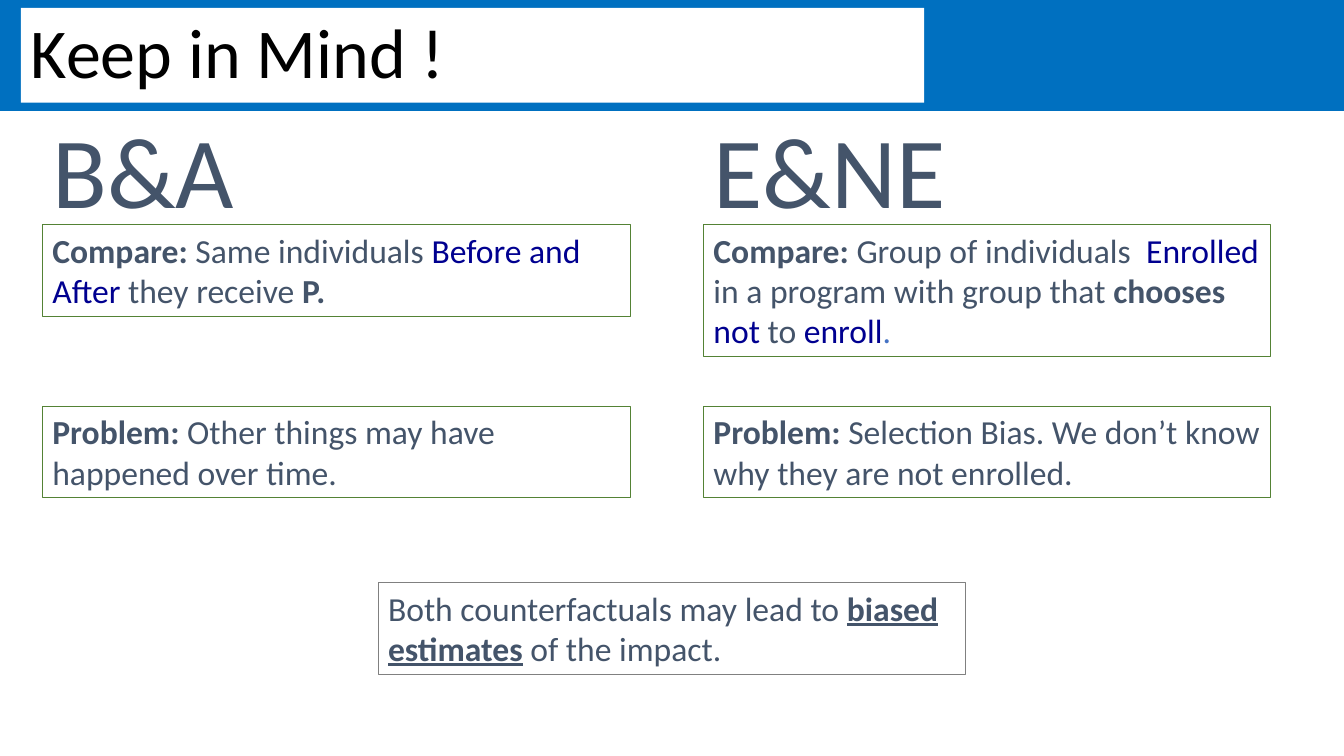
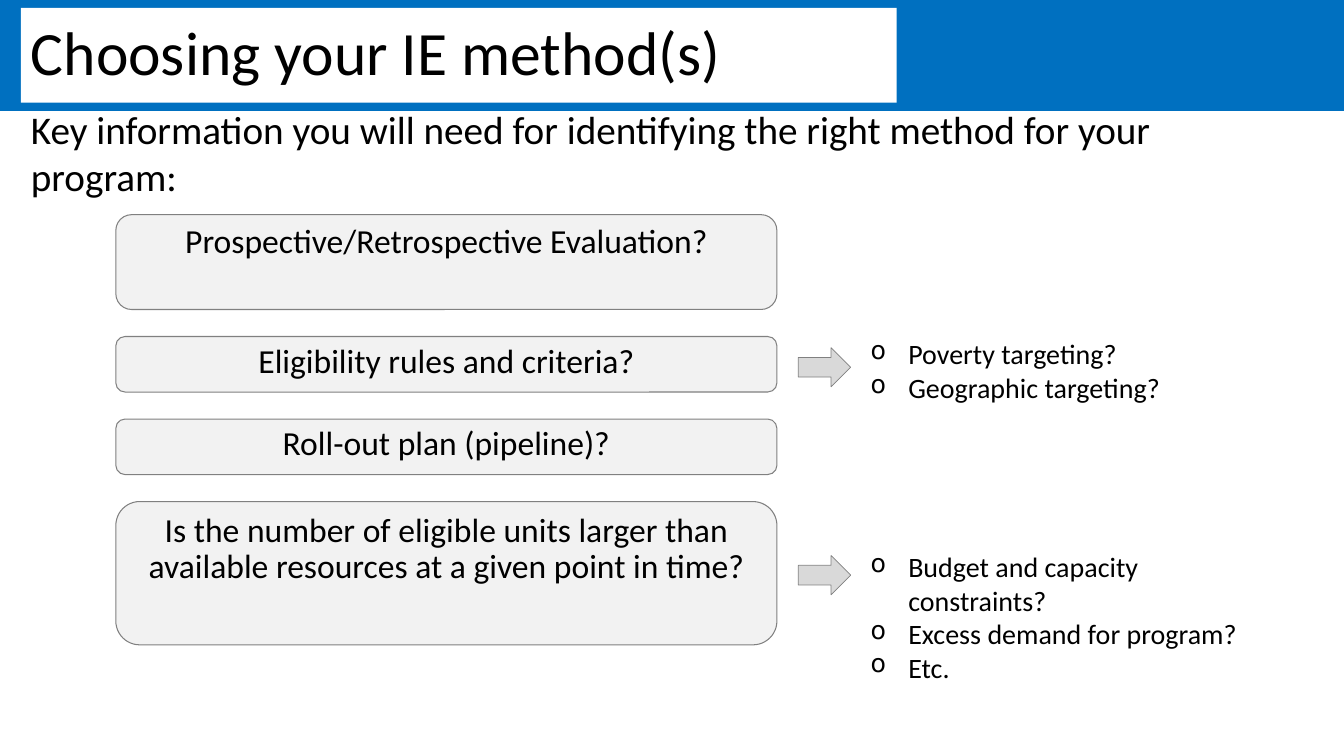
from dataclasses import dataclass
from typing import Any

from lxml import etree
from pptx import Presentation
from pptx.dml.color import RGBColor
from pptx.enum.shapes import MSO_SHAPE
from pptx.enum.text import MSO_ANCHOR, MSO_AUTO_SIZE, PP_ALIGN
from pptx.oxml.ns import qn
from pptx.shapes.autoshape import Shape
from pptx.slide import Slide
from pptx.util import Cm, Pt

RECTANGLE = MSO_SHAPE.RECTANGLE
ROUNDED = MSO_SHAPE.ROUNDED_RECTANGLE
ARROW = MSO_SHAPE.RIGHT_ARROW
TOP = MSO_ANCHOR.TOP
MIDDLE = MSO_ANCHOR.MIDDLE
LEFT = PP_ALIGN.LEFT
CENTER = PP_ALIGN.CENTER
FIT_SHAPE = MSO_AUTO_SIZE.SHAPE_TO_FIT_TEXT
FIXED = MSO_AUTO_SIZE.NONE


@dataclass(frozen=True)
class Theme:
    font: str = "Calibri"
    band: str = "0070C0"
    white: str = "FFFFFF"
    black: str = "000000"
    slate: str = "44546A"
    navy: str = "000090"
    blue: str = "4472C4"
    green: str = "548235"
    gray: str = "808080"
    pale: str = "F2F2F2"
    arrow: str = "D9D9D9"
    heading_size: float = 72
    title_size: float = 50
    long_title_size: float = 44
    intro_size: float = 28
    body_size: float = 24
    bullet_size: float = 20


THEME = Theme()


@dataclass(frozen=True)
class Box:
    left: float
    top: float
    width: float
    height: float


@dataclass(frozen=True)
class Span:
    text: str
    color: str = THEME.slate
    bold: bool = False
    underline: bool = False


@dataclass(frozen=True)
class Style:
    size: float = THEME.body_size
    anchor: Any = TOP
    fit: Any = FIT_SHAPE
    wrap: bool = True
    align: Any = LEFT
    line_spacing: float = 1.0
    space_before: float = 0
    bulleted: bool = False


@dataclass(frozen=True)
class Column:
    left: float
    width: float
    heading: str
    heading_width: float
    compare: tuple[Span, ...]
    compare_height: float
    problem: str


@dataclass(frozen=True)
class Question:
    text: str
    height: float


@dataclass(frozen=True)
class Detail:
    arrow_top: float
    box: Box
    items: tuple[str, ...]


HEADING = Style(size=THEME.heading_size, wrap=False)
BODY = Style()
QUESTION = Style(fit=FIXED, align=CENTER, line_spacing=0.9, space_before=10)
INTRO = Style(size=THEME.intro_size, space_before=5.6)
BULLETS = Style(size=THEME.bullet_size, bulleted=True)

COLUMNS = (
    Column(
        1.07, 14.81, "B&A", 5.13,
        (
            Span("Compare: ", bold=True),
            Span("Same individuals "),
            Span("Before and After", THEME.navy),
            Span(" they receive "),
            Span("P.", bold=True),
        ),
        2.31,
        "Other things may have happened over time.",
    ),
    Column(
        17.73, 14.3, "E&NE", 6.43,
        (
            Span("Compare: ", bold=True),
            Span("Group of individuals "),
            Span(" Enrolled ", THEME.navy),
            Span("in a program with group that "),
            Span("chooses ", bold=True),
            Span("not", THEME.navy),
            Span(" to "),
            Span("enroll", THEME.navy),
            Span(".", THEME.blue),
        ),
        3.33,
        "Selection Bias. We don’t know why they are not enrolled.",
    ),
)

QUESTIONS = (
    Question("Prospective/Retrospective Evaluation?", 2.39),
    Question("Eligibility rules and criteria?", 1.4),
    Question("Roll-out plan (pipeline)?", 1.4),
    Question(
        "Is the number of eligible units larger than available resources "
        "at a given point in time?",
        3.61,
    ),
)
QUESTION_TOP = 5.41
QUESTION_GAP = 0.68

DETAILS = (
    Detail(8.76, Box(21.69, 8.36, 11.1, 1.96),
           ("Poverty targeting?", "Geographic targeting?")),
    Detail(14.0, Box(21.69, 13.72, 10.8, 3.68),
           ("Budget and capacity constraints?", "Excess demand for program?", "Etc.")),
)


def set_attributes(target: Any, values: dict[str, Any]) -> None:
    for name, value in values.items():
        setattr(target, name, value)


def add_bullet(paragraph: Any) -> None:
    properties = paragraph._p.get_or_add_pPr()
    properties.set("marL", str(Cm(0.95)))
    properties.set("indent", str(-Cm(0.95)))
    etree.SubElement(properties, qn("a:buSzPct")).set("val", "90000")
    etree.SubElement(properties, qn("a:buChar")).set("char", "o")


def write_text(shape: Shape, paragraphs: list[tuple[Span, ...]], style: Style) -> None:
    frame = shape.text_frame
    set_attributes(frame, {
        "word_wrap": style.wrap,
        "auto_size": style.fit,
        "vertical_anchor": style.anchor,
    })
    for index, spans in enumerate(paragraphs):
        paragraph = frame.add_paragraph() if index else frame.paragraphs[0]
        set_attributes(paragraph, {
            "alignment": style.align,
            "line_spacing": style.line_spacing,
            "space_before": Pt(style.space_before),
        })
        if style.bulleted:
            add_bullet(paragraph)
        for span in spans:
            run = paragraph.add_run()
            run.text = span.text
            set_attributes(run.font, {
                "name": THEME.font,
                "size": Pt(style.size),
                "bold": span.bold,
                "underline": span.underline,
            })
            run.font.color.rgb = RGBColor.from_string(span.color)


def add_panel(slide: Slide, box: Box, fill: str | None = None, line: str | None = None,
              line_width: float = 0.75, kind: Any = RECTANGLE) -> Shape:
    shape = slide.shapes.add_shape(
        kind, Cm(box.left), Cm(box.top), Cm(box.width), Cm(box.height))
    shape.shadow.inherit = False
    if fill:
        shape.fill.solid()
        shape.fill.fore_color.rgb = RGBColor.from_string(fill)
    else:
        shape.fill.background()
    if line:
        shape.line.color.rgb = RGBColor.from_string(line)
        shape.line.width = Pt(line_width)
    else:
        shape.line.fill.background()
    return shape


def add_text(slide: Slide, box: Box, paragraphs: list[tuple[Span, ...]],
             style: Style) -> None:
    shape = slide.shapes.add_textbox(
        Cm(box.left), Cm(box.top), Cm(box.width), Cm(box.height))
    write_text(shape, paragraphs, style)


def add_titled_slide(presentation: Any, title: str, width: float, size: float) -> Slide:
    slide = presentation.slides.add_slide(presentation.slide_layouts[6])
    add_panel(slide, Box(0, 0, 33.87, 2.79), THEME.band, THEME.band, 1)
    shape = add_panel(slide, Box(0.53, 0.2, width, 2.39), THEME.white)
    style = Style(size=size, anchor=MIDDLE, fit=FIXED, line_spacing=0.9)
    write_text(shape, [(Span(title, THEME.black),)], style)
    return slide


def build_comparison(presentation: Any) -> None:
    slide = add_titled_slide(presentation, "Keep in Mind !", 22.76, THEME.title_size)
    for column in COLUMNS:
        add_text(slide, Box(column.left, 2.59, column.heading_width, 3.33),
                 [(Span(column.heading),)], HEADING)
        problem = (Span("Problem: ", bold=True), Span(column.problem))
        for top, height, spans in (
            (5.66, column.compare_height, column.compare),
            (10.24, 2.31, problem),
        ):
            box = Box(column.left, top, column.width, height)
            write_text(add_panel(slide, box, line=THEME.green), [spans], BODY)
    conclusion = (
        Span("Both counterfactuals may lead to "),
        Span("biased estimates", bold=True, underline=True),
        Span(" of the impact."),
    )
    panel = add_panel(slide, Box(9.53, 14.68, 14.81, 2.31), THEME.white, THEME.gray)
    write_text(panel, [conclusion], BODY)


def build_method_choice(presentation: Any) -> None:
    slide = add_titled_slide(
        presentation, "Choosing your IE method(s)", 22.07, THEME.long_title_size)
    top = QUESTION_TOP
    for question in QUESTIONS:
        panel = add_panel(slide, Box(2.92, top, 16.66, question.height),
                          THEME.pale, THEME.gray, kind=ROUNDED)
        write_text(panel, [(Span(question.text, THEME.black),)], QUESTION)
        top += question.height + QUESTION_GAP
    for detail in DETAILS:
        add_panel(slide, Box(20.12, detail.arrow_top, 1.32, 0.99),
                  THEME.arrow, THEME.gray, 0.5, ARROW)
        items = [(Span(item, THEME.black),) for item in detail.items]
        add_text(slide, detail.box, items, BULLETS)
    intro = Span(
        "Key information you will need for identifying the right method for your program:",
        THEME.black)
    add_text(slide, Box(0.53, 2.54, 31.75, 2.64), [(intro,)], INTRO)


def main() -> None:
    presentation = Presentation()
    set_attributes(presentation, {"slide_width": Cm(33.87), "slide_height": Cm(19.05)})
    build_comparison(presentation)
    build_method_choice(presentation)
    presentation.save("out.pptx")


if __name__ == "__main__":
    main()
